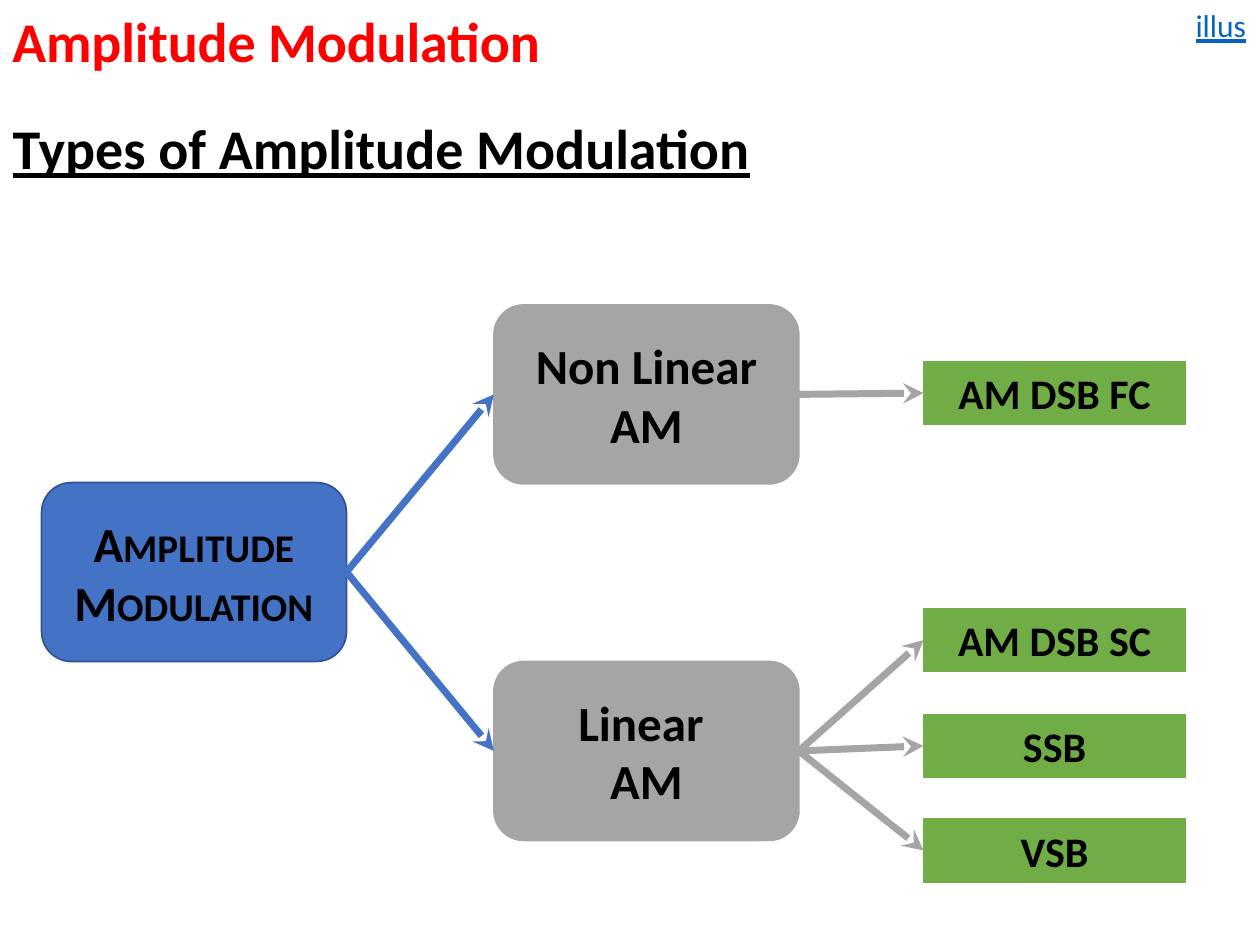
import dataclasses
import typing

import pptx
import pptx.dml.color
import pptx.enum.shapes
import pptx.enum.text
import pptx.oxml.ns
import pptx.util
from lxml import etree

Inches = pptx.util.Inches
Pt = pptx.util.Pt
Align = pptx.enum.text.PP_ALIGN
Anchor = pptx.enum.text.MSO_ANCHOR
Fit = pptx.enum.text.MSO_AUTO_SIZE
Kind = pptx.enum.shapes.MSO_SHAPE
qn = pptx.oxml.ns.qn

FONT = "Calibri"
COLORS = {
    "black": "000000",
    "red": "FF0000",
    "link": "0563C1",
    "blue": "4472C4",
    "navy": "325491",
    "gray": "A5A5A5",
    "green": "70AD47",
}
RIGHT, LEFT = 3, 1


@dataclasses.dataclass(frozen=True)
class Style:
    kind: typing.Any
    width: float
    height: float
    size: float
    fill: str
    edge: str
    caps: bool = False


@dataclasses.dataclass(frozen=True)
class Node:
    name: str
    text: str
    left: float
    top: float
    style: Style


@dataclasses.dataclass(frozen=True)
class Link:
    start: str
    end: str
    color: str


ROOT = Style(Kind.ROUNDED_RECTANGLE, 2.42, 1.42, 28, "blue", "navy", caps=True)
GROUP = Style(Kind.ROUNDED_RECTANGLE, 2.42, 1.42, 28, "gray", "gray")
LEAF = Style(Kind.RECTANGLE, 2.08, 0.5, 24, "green", "green")

NODES = [
    Node("root", "Amplitude Modulation", 0.33, 3.83, ROOT),
    Node("nonlinear", "Non Linear AM", 3.92, 2.42, GROUP),
    Node("linear", "Linear \nAM", 3.92, 5.25, GROUP),
    Node("fc", "AM DSB FC", 7.33, 2.87, LEAF),
    Node("sc", "AM DSB SC", 7.33, 4.83, LEAF),
    Node("ssb", "SSB", 7.33, 5.67, LEAF),
    Node("vsb", "VSB", 7.33, 6.5, LEAF),
]
LINKS = [
    Link("root", "nonlinear", "blue"),
    Link("root", "linear", "blue"),
    Link("nonlinear", "fc", "gray"),
    Link("linear", "sc", "gray"),
    Link("linear", "ssb", "gray"),
    Link("linear", "vsb", "gray"),
]


def rgb(name: str) -> pptx.dml.color.RGBColor:
    return pptx.dml.color.RGBColor.from_string(COLORS[name])


def write(frame, text: str, *, size: float, color: str = "black",
          bold: bool = True, line: bool = False, caps: bool = False,
          align=Align.LEFT, anchor=Anchor.TOP, wrap: bool = True,
          fit=Fit.NONE, space: float | None = None,
          track: float | None = None) -> None:
    """Fill a text frame, one paragraph for each line of text."""
    frame.auto_size = fit
    frame.word_wrap = wrap
    frame.vertical_anchor = anchor
    for i, part in enumerate(text.split("\n")):
        para = frame.add_paragraph() if i else frame.paragraphs[0]
        para.alignment = align
        if space is not None:
            para.line_spacing = space
        run = para.add_run()
        run.text = part
        font = run.font
        font.name = FONT
        font.size = Pt(size)
        font.bold = bold
        font.underline = line
        font.color.rgb = rgb(color)
        props = run._r.get_or_add_rPr()
        if caps:
            props.set("cap", "small")
        if track is not None:
            props.set("spc", str(round(track * 100)))


def add_box(slide, left: float, top: float, width: float, height: float,
            text: str, **style) -> None:
    box = slide.shapes.add_textbox(
        Inches(left), Inches(top), Inches(width), Inches(height))
    write(box.text_frame, text, **style)


def add_node(slide, node: Node):
    style = node.style
    shape = slide.shapes.add_shape(
        style.kind, Inches(node.left), Inches(node.top),
        Inches(style.width), Inches(style.height))
    shape.shadow.inherit = False
    shape.fill.solid()
    shape.fill.fore_color.rgb = rgb(style.fill)
    shape.line.color.rgb = rgb(style.edge)
    shape.line.width = Pt(1)
    write(shape.text_frame, node.text, size=style.size, caps=style.caps,
          align=Align.CENTER, anchor=Anchor.MIDDLE)
    return shape


def add_arrow(slide, start, end, color: str) -> None:
    arrow = slide.shapes.add_connector(
        pptx.enum.shapes.MSO_CONNECTOR.STRAIGHT, 0, 0, 0, 0)
    arrow.begin_connect(start, RIGHT)
    arrow.end_connect(end, LEFT)
    arrow.line.color.rgb = rgb(color)
    arrow.line.width = Pt(4)
    etree.SubElement(arrow.line._get_or_add_ln(), qn("a:tailEnd"),
                     type="stealth")
    etree.SubElement(arrow._element.spPr, qn("a:effectLst"))


def main() -> None:
    deck = pptx.Presentation()
    deck.slide_width = Inches(10)
    deck.slide_height = Inches(7.5)
    slide = deck.slides.add_slide(deck.slide_layouts[5])

    title = slide.shapes.title
    title.left, title.top = Inches(0), Inches(0.58)
    title.width, title.height = Inches(9.5), Inches(1.25)
    write(title.text_frame, "Types of Amplitude Modulation", size=32,
          line=True, align=Align.JUSTIFY, anchor=Anchor.MIDDLE, space=0.9)

    shapes = {node.name: add_node(slide, node) for node in NODES}
    for link in LINKS:
        add_arrow(slide, shapes[link.start], shapes[link.end], link.color)

    add_box(slide, 0, 0, 10, 0.5, "Amplitude Modulation", size=32,
            color="red", align=Align.JUSTIFY, track=-0.1)
    add_box(slide, 9.39, 0, 0.61, 0.4, "illus", size=18, color="link",
            bold=False, line=True, wrap=False, fit=Fit.SHAPE_TO_FIT_TEXT)
    deck.save("out.pptx")


if __name__ == "__main__":
    main()
